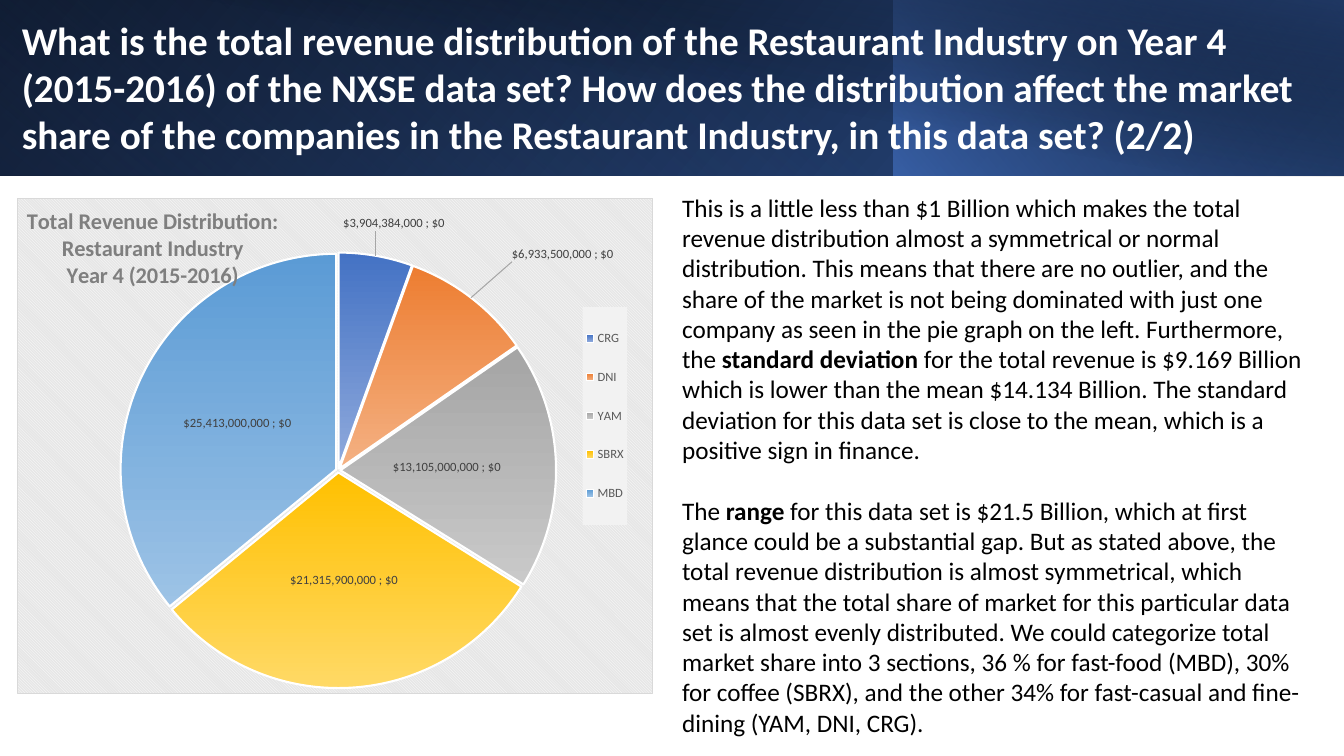
from dataclasses import dataclass

from lxml.etree import SubElement
from pptx import Presentation
from pptx.chart.data import CategoryChartData
from pptx.dml.color import RGBColor
from pptx.enum.chart import XL_CHART_TYPE, XL_LABEL_POSITION, XL_LEGEND_POSITION
from pptx.enum.shapes import MSO_SHAPE
from pptx.enum.text import PP_ALIGN
from pptx.oxml import parse_xml
from pptx.oxml.ns import nsdecls, qn
from pptx.util import Cm, Pt


@dataclass(frozen=True)
class Theme:
    font: str = "Calibri"
    white: str = "FFFFFF"
    black: str = "000000"
    blue: str = "4472C4"
    navy: str = "203864"
    deep_blue: str = "2F5597"
    chart_title: str = "7F7F7F"
    legend_text: str = "595959"
    label_text: str = "404040"
    border: str = "D9D9D9"
    legend_fill: str = "F2F2F2"
    stripe: str = "E6E6E6"
    leader: str = "A6A6A6"
    heading_size: int = 28
    body_size: int = 18
    chart_title_size: int = 16
    label_size: int = 9


THEME = Theme()

HEADING = (
    "What is the total revenue distribution of the Restaurant Industry on Year 4 "
    "(2015-2016) of the NXSE data set? How does the distribution affect the market "
    "share of the companies in the Restaurant Industry, in this data set? (2/2)"
)
# Each paragraph is a list of (wording, bold)
ANALYSIS = [
    [
        ("This is a little less than $1 Billion which makes the total revenue distribution "
         "almost a symmetrical or normal distribution. This means that there are no outlier, "
         "and the share of the market is not being dominated with just one company as seen in "
         "the pie graph on the left. Furthermore, the ", False),
        ("standard deviation", True),
        (" for the total revenue is $9.169 Billion which is lower than the mean $14.134 "
         "Billion. The standard deviation for this data set is close to the mean, which is a "
         "positive sign in finance.", False),
    ],
    [
        ("The ", False),
        ("range", True),
        (" for this data set is $21.5 Billion, which at first glance could be a substantial "
         "gap. But as stated above, the total revenue distribution is almost symmetrical, "
         "which means that the total share of market for this particular data set is almost "
         "evenly distributed. We could categorize total market share into 3 sections, 36 % for "
         "fast-food (MBD), 30% for coffee (SBRX), and the other 34% for fast-casual and "
         "fine-dining (YAM, DNI, CRG).", False),
    ],
]
CHART_TITLE = ["Total Revenue Distribution:", "Restaurant Industry", "Year 4 (2015-2016)"]
# Company, revenue, slice gradient from top to bottom
REVENUES = [
    ("CRG", 3904384000, "4472C4", "8FAADC"),
    ("DNI", 6933500000, "ED7D31", "F4B183"),
    ("YAM", 13105000000, "A5A5A5", "C9C9C9"),
    ("SBRX", 21315900000, "FFC000", "FFD966"),
    ("MBD", 25413000000, "5B9BD5", "9DC3E6"),
]
DOLLARS = '"$"#,##0_);[Red]\\("$"#,##0\\)'
# Slice number and shift of its label, as shares of the chart
PULLED_LABELS = [(0, 0.06, -0.28), (1, 0.25, -0.26)]


def apply_format(target, values):
    for name, value in values.items():
        setattr(target, name, value)


def style_font(font, size, color, bold=False):
    apply_format(font, {"name": THEME.font, "size": Pt(size), "bold": bold})
    font.color.rgb = RGBColor.from_string(color)


def fill_gradient(fill, stops, angle):
    """Stops are (position, colour, opacity), all in percent."""
    fill.background()
    stop_xml = "".join(
        f'<a:gs pos="{position * 1000}"><a:srgbClr val="{color}">'
        f'<a:alpha val="{opacity * 1000}"/></a:srgbClr></a:gs>'
        for position, color, opacity in stops
    )
    gradient = parse_xml(
        f'<a:gradFill {nsdecls("a")} rotWithShape="1"><a:gsLst>{stop_xml}</a:gsLst>'
        f'<a:lin ang="{angle * 60000}" scaled="0"/></a:gradFill>'
    )
    properties = fill._xPr
    properties.replace(properties.find(qn("a:noFill")), gradient)


def add_banner_layer(slide, left, width, height, stops, angle, flipped=True, rotation=0):
    layer = slide.shapes.add_shape(MSO_SHAPE.RECTANGLE, Cm(left), 0, Cm(width), Cm(height))
    layer.shadow.inherit = False
    layer.line.fill.background()
    layer.rotation = rotation
    if flipped:
        layer._element.spPr.xfrm.set("flipH", "1")
    fill_gradient(layer.fill, stops, angle)


def add_text(slide, left, top, width, height, paragraphs, size, color):
    frame = slide.shapes.add_textbox(Cm(left), Cm(top), Cm(width), Cm(height)).text_frame
    frame.word_wrap = True
    for number, passages in enumerate(paragraphs):
        paragraph = frame.add_paragraph() if number else frame.paragraphs[0]
        if number:
            paragraph.space_before = Pt(size * 1.22)
        for wording, bold in passages:
            passage = paragraph.add_run()
            passage.text = wording
            style_font(passage.font, size, color, bold)


def place(element, **values):
    """Fill a c:layout element with a manual layout."""
    manual = SubElement(element, qn("c:manualLayout"))
    for name, value in values.items():
        SubElement(manual, qn(f"c:{name}")).set("val", str(value))


def new_layout(parent, index):
    for old in parent.findall(qn("c:layout")):
        parent.remove(old)
    layout = parse_xml(f'<c:layout {nsdecls("c")}/>')
    parent.insert(index, layout)
    return layout


def add_chart_title(chart):
    frame = chart.chart_title.text_frame
    for number, line in enumerate(CHART_TITLE):
        paragraph = frame.add_paragraph() if number else frame.paragraphs[0]
        paragraph.alignment = PP_ALIGN.CENTER
        wording = paragraph.add_run()
        wording.text = line
        style_font(wording.font, THEME.chart_title_size, THEME.chart_title, True)
    chart.chart_title.include_in_layout = True
    place(new_layout(chart.chart_title._element, 1),
          xMode="edge", yMode="edge", x=0.01, y=0.01)


def add_chart_legend(chart):
    chart.has_legend = True
    legend = chart.legend
    apply_format(legend, {"position": XL_LEGEND_POSITION.RIGHT, "include_in_layout": False})
    style_font(legend.font, THEME.label_size, THEME.legend_text)
    place(new_layout(legend._element, 1),
          xMode="edge", yMode="edge", x=0.89, y=0.22, w=0.07, h=0.44)
    legend._element.find(qn("c:txPr")).addprevious(parse_xml(
        f'<c:spPr {nsdecls("c", "a")}><a:solidFill><a:srgbClr val="{THEME.legend_fill}"/>'
        "</a:solidFill></c:spPr>"
    ))


def add_value_labels(plot):
    plot.has_data_labels = True
    labels = plot.data_labels
    apply_format(labels, {
        "show_value": True, "show_percentage": True, "number_format": DOLLARS,
        "number_format_is_linked": False, "position": XL_LABEL_POSITION.CENTER,
    })
    style_font(labels.font, THEME.label_size, THEME.label_text)
    root = labels._element
    # Move the labels into the series so that single ones can be shifted
    plot.series[0]._element.find(qn("c:cat")).addprevious(root)
    for leader in root.findall(qn("c:showLeaderLines")):
        root.remove(leader)
    SubElement(root, qn("c:separator")).text = "; "
    SubElement(root, qn("c:showLeaderLines")).set("val", "1")
    root.append(parse_xml(
        f'<c:leaderLines {nsdecls("c", "a")}><c:spPr><a:ln w="9525"><a:solidFill>'
        f'<a:srgbClr val="{THEME.leader}"/></a:solidFill></a:ln></c:spPr></c:leaderLines>'
    ))
    for position, (slice_number, x, y) in enumerate(PULLED_LABELS):
        pulled = parse_xml(
            f'<c:dLbl {nsdecls("c")}><c:idx val="{slice_number}"/><c:layout/>'
            '<c:dLblPos val="ctr"/><c:showLegendKey val="0"/><c:showVal val="1"/>'
            '<c:showCatName val="0"/><c:showSerName val="0"/><c:showPercent val="1"/>'
            '<c:showBubbleSize val="0"/><c:separator>; </c:separator></c:dLbl>'
        )
        place(pulled.find(qn("c:layout")), x=x, y=y)
        root.insert(position, pulled)


def add_revenue_pie(slide, left, top, width, height):
    revenue = CategoryChartData(number_format=DOLLARS)
    revenue.categories = [company for company, *_ in REVENUES]
    revenue.add_series("Series 1", [amount for _, amount, *_ in REVENUES])
    chart = slide.shapes.add_chart(
        XL_CHART_TYPE.PIE, Cm(left), Cm(top), Cm(width), Cm(height), revenue).chart
    style_font(chart.font, 10, THEME.black)
    add_chart_title(chart)
    add_chart_legend(chart)

    # Slices
    plot = chart.plots[0]
    plot.vary_by_categories = True
    pie = plot.series[0]
    for number, (_, _, upper, lower) in enumerate(REVENUES):
        piece = pie.points[number].format
        fill_gradient(piece.fill, [(0, upper, 100), (100, lower, 100)], 90)
        piece.line.color.rgb = RGBColor.from_string(THEME.white)
        piece.line.width = Pt(1.5)
    pie._element.find(qn("c:dPt")).addprevious(
        parse_xml(f'<c:explosion {nsdecls("c")} val="1"/>'))
    for point in pie._element.findall(qn("c:dPt")):
        point.find(qn("c:spPr")).addprevious(
            parse_xml(f'<c:explosion {nsdecls("c")} val="1"/>'))
    add_value_labels(plot)

    # Plot place and striped background
    chart_space = chart._chartSpace
    place(new_layout(chart_space.chart.plotArea, 0), layoutTarget="inner",
          xMode="edge", yMode="edge", x=0.08, y=0.11, w=0.85, h=0.88)
    chart_space.chart.addnext(parse_xml(
        f'<c:spPr {nsdecls("c", "a")}><a:pattFill prst="dkDnDiag">'
        f'<a:fgClr><a:srgbClr val="{THEME.white}"/></a:fgClr>'
        f'<a:bgClr><a:srgbClr val="{THEME.stripe}"/></a:bgClr></a:pattFill>'
        f'<a:ln w="9525"><a:solidFill><a:srgbClr val="{THEME.border}"/></a:solidFill></a:ln>'
        "</c:spPr>"
    ))


def main():
    deck = Presentation()
    apply_format(deck, {"slide_width": Cm(33.87), "slide_height": Cm(19.05)})
    slide = deck.slides.add_slide(deck.slide_layouts[6])

    # Banner
    add_banner_layer(slide, 0, 33.87, 4.42,
                     [(0, THEME.black, 100), (100, THEME.deep_blue, 100)], 140)
    add_banner_layer(slide, 0, 22.56, 4.42,
                     [(20, THEME.blue, 0), (100, THEME.navy, 55)], 230, rotation=180)
    add_banner_layer(slide, 22.53, 11.34, 4.42,
                     [(0, THEME.blue, 66), (100, THEME.black, 30)], 220)
    add_banner_layer(slide, 1.27, 32.6, 4.45,
                     [(50, THEME.black, 0), (99, THEME.navy, 52)], 280, flipped=False)
    add_text(slide, 0.3, 0.28, 33.27, 3.84, [[(HEADING, True)]],
             THEME.heading_size, THEME.white)

    # Analysis and chart
    add_text(slide, 16.94, 4.72, 16.48, 14.1, ANALYSIS, THEME.body_size, THEME.black)
    add_revenue_pie(slide, 0.43, 4.98, 16.03, 12.5)
    deck.save("out.pptx")


if __name__ == "__main__":
    main()
